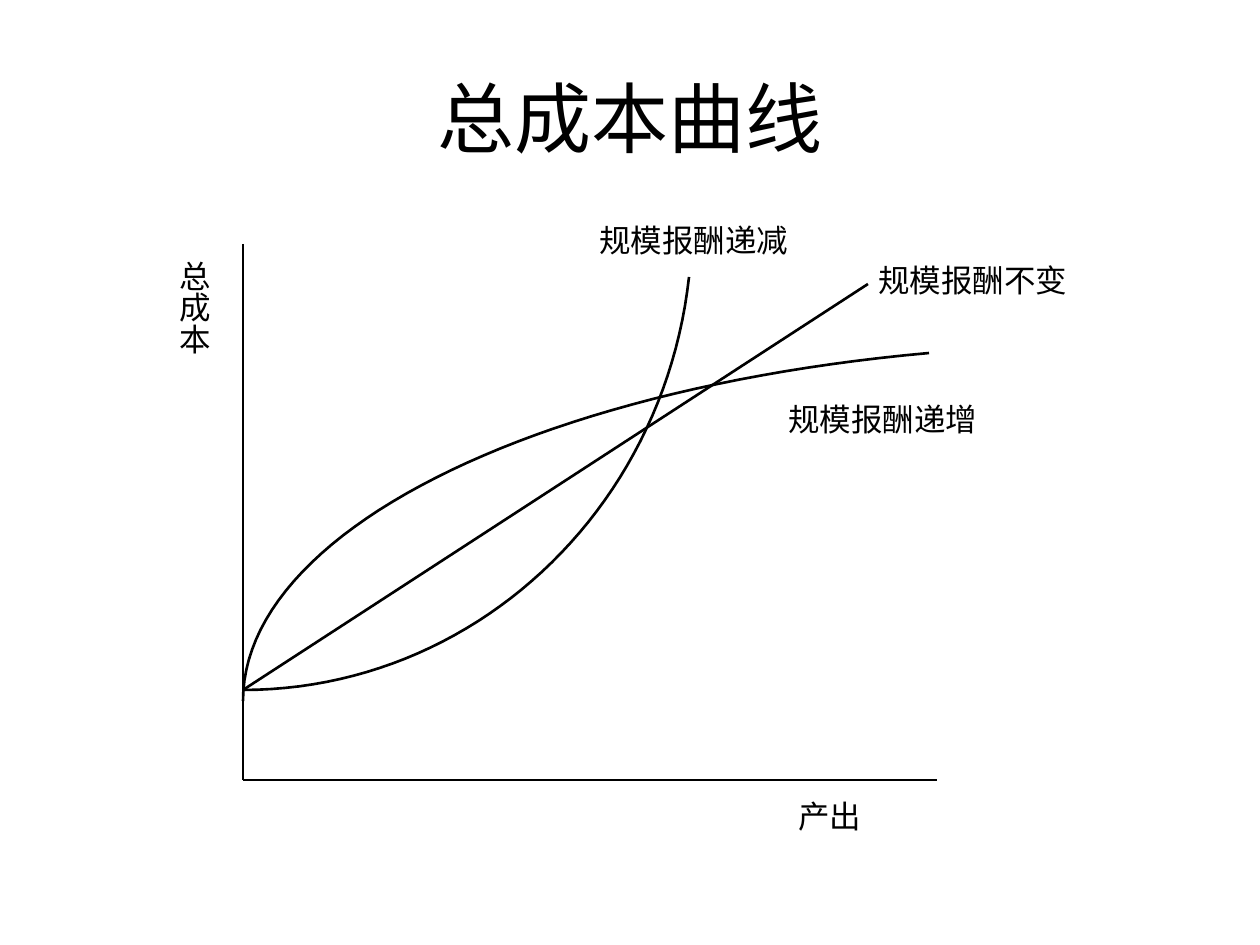
import dataclasses

import lxml.etree
import pptx
import pptx.dml.color
import pptx.enum.shapes
import pptx.enum.text
import pptx.oxml.ns
import pptx.util

PX = 914400 / 126  # EMU in one px
CURVE_STEPS = 48


@dataclasses.dataclass(frozen=True)
class Theme:
    font: str = "Arial"
    ink: pptx.dml.color.RGBColor = pptx.dml.color.RGBColor(0, 0, 0)
    background: pptx.dml.color.RGBColor = pptx.dml.color.RGBColor(255, 255, 255)
    title_size: int = 44
    label_size: int = 18
    axis_width: float = 0.75
    curve_width: float = 1.5


THEME = Theme()


def emu(px):
    return pptx.util.Emu(round(px * PX))


def add_text(slide, box, text, size):
    shape = slide.shapes.add_textbox(*map(emu, box))
    run = shape.text_frame.paragraphs[0].add_run()
    run.text = text
    run.font.name = THEME.font
    run.font.size = pptx.util.Pt(size)
    run.font.color.rgb = THEME.ink
    return shape.text_frame


def add_label(slide, box, text):
    frame = add_text(slide, box, text, THEME.label_size)
    frame.word_wrap = False
    frame.auto_size = pptx.enum.text.MSO_AUTO_SIZE.SHAPE_TO_FIT_TEXT
    return frame


def style_line(line, width):
    line.color.rgb = THEME.ink
    line.width = pptx.util.Pt(width)


def add_line(slide, start, end, width):
    connector = slide.shapes.add_connector(
        pptx.enum.shapes.MSO_CONNECTOR.STRAIGHT, *map(emu, start + end))
    style_line(connector.line, width)
    lxml.etree.SubElement(connector._element.spPr, pptx.oxml.ns.qn("a:effectLst"))


def bezier_point(controls, t):
    weights = ((1 - t) ** 3, 3 * t * (1 - t) ** 2, 3 * t * t * (1 - t), t ** 3)
    return tuple(emu(sum(weight * point[axis] for weight, point in zip(weights, controls)))
                 for axis in (0, 1))


def add_curve(slide, controls):
    points = [bezier_point(controls, step / CURVE_STEPS) for step in range(CURVE_STEPS + 1)]
    builder = slide.shapes.build_freeform(*points[0])
    builder.add_line_segments(points[1:], close=False)
    shape = builder.convert_to_shape()
    shape.shadow.inherit = False
    shape.fill.background()
    style_line(shape.line, THEME.curve_width)


def build_title(slide, box):
    frame = add_text(slide, box, "总成本曲线", THEME.title_size)
    frame.word_wrap = True
    frame.vertical_anchor = pptx.enum.text.MSO_ANCHOR.MIDDLE
    frame.paragraphs[0].alignment = pptx.enum.text.PP_ALIGN.CENTER


def build_cost_plot(slide, box):
    left, top, width, height = box

    def at(x, y):
        return left + x, top + y

    # Axes
    corner = at(0, height)
    add_line(slide, at(0, 0), corner, THEME.axis_width)
    add_line(slide, corner, at(width, height), THEME.axis_width)

    # Constant, decreasing and increasing returns to scale
    fixed_cost = at(0, 446)
    add_line(slide, fixed_cost, at(625, 40), THEME.curve_width)
    add_curve(slide, (fixed_cost, at(228, 446), at(420, 269), at(446, 33)))
    add_curve(slide, (at(686, 109), at(285, 145), at(0, 290), at(0, 457)))

    # Curve labels
    for text, x, y in (("规模报酬递增", 533, 150),
                       ("规模报酬不变", 623, 11),
                       ("规模报酬递减", 344, -29)):
        add_label(slide, at(x, y) + (214, 50), text)

    # Axis labels
    add_label(slide, at(543, 547) + (88, 50), "产出")
    frame = add_label(slide, at(-87, 4) + (63, 107), "总成本")
    frame.margin_left = frame.margin_right = pptx.util.Inches(0.05)
    frame.margin_top = frame.margin_bottom = pptx.util.Inches(0.1)
    frame._txBody.bodyPr.set("vert", "eaVert")


def main():
    presentation = pptx.Presentation()
    presentation.slide_width = emu(1260)
    presentation.slide_height = emu(945)
    slide = presentation.slides.add_slide(presentation.slide_layouts[6])
    slide.background.fill.solid()
    slide.background.fill.fore_color.rgb = THEME.background
    build_title(slide, (63, 38, 1134, 158))
    build_cost_plot(slide, (243, 244, 694, 536))
    presentation.save("out.pptx")


if __name__ == "__main__":
    main()
